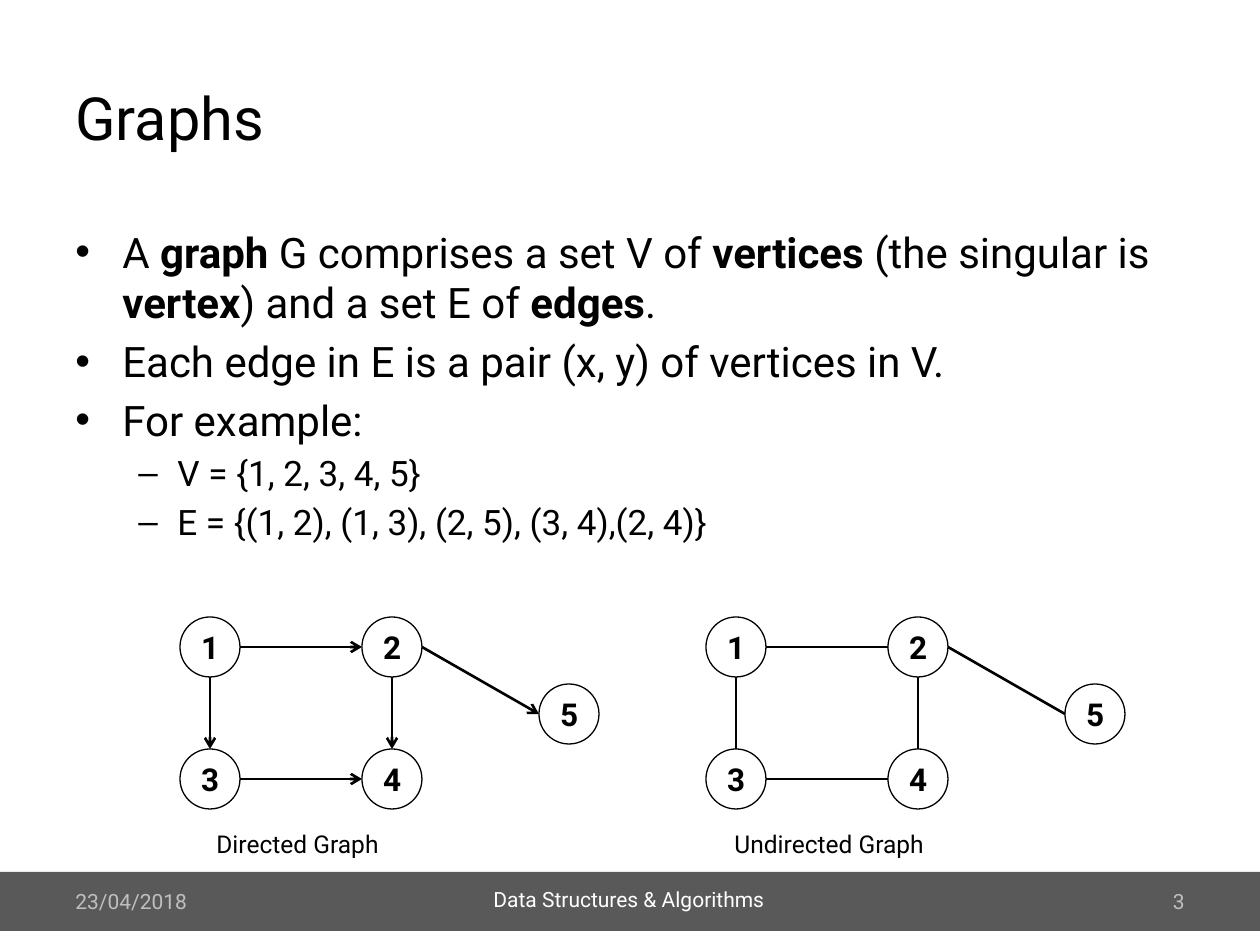
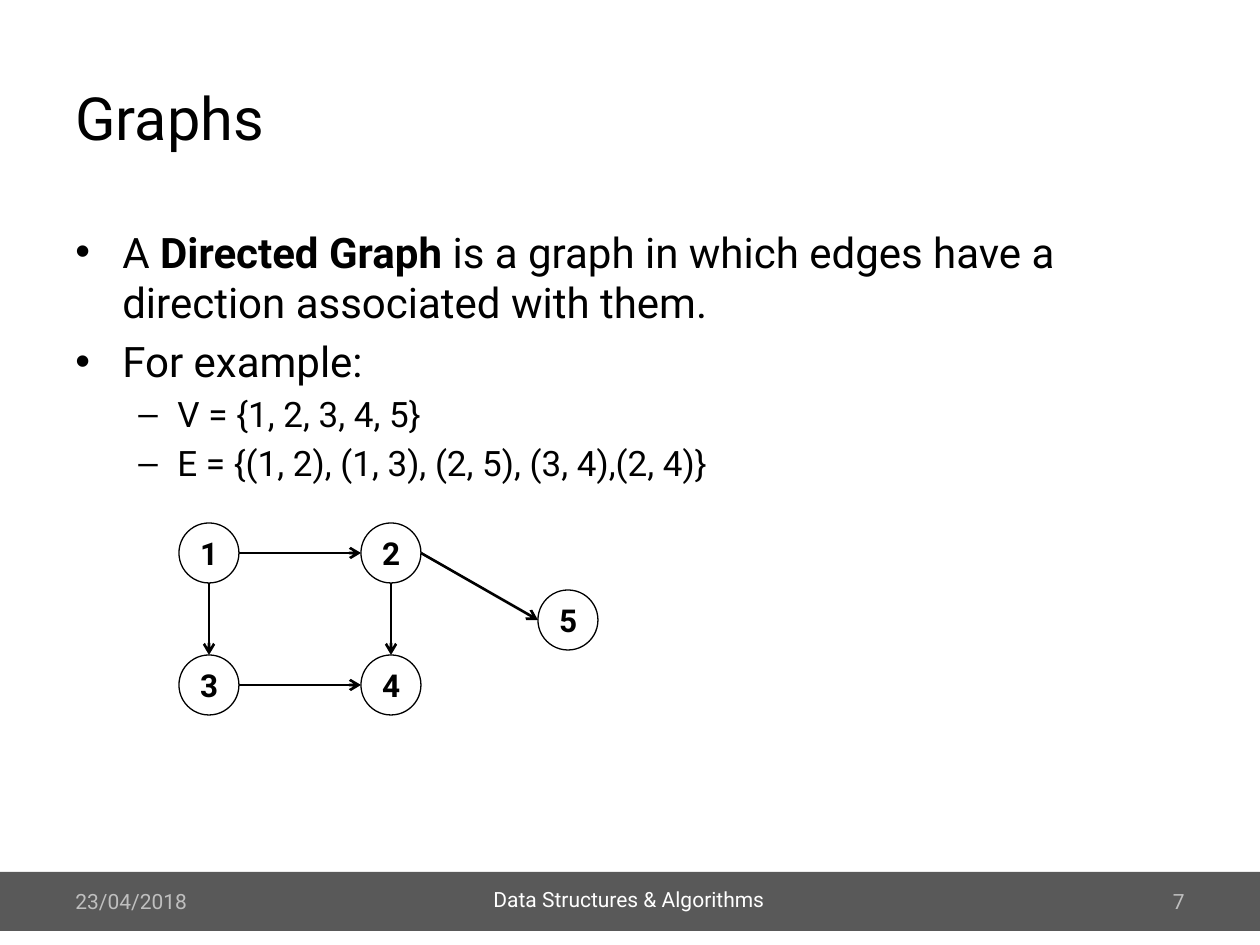
from lxml.etree import SubElement
from pptx import Presentation
from pptx.dml.color import RGBColor
from pptx.enum.shapes import MSO_CONNECTOR, MSO_SHAPE
from pptx.enum.text import MSO_ANCHOR, PP_ALIGN
from pptx.oxml.ns import qn
from pptx.util import Emu, Pt

EMU_PER_PX = 914400 / 126
FONT = "Roboto"
BLACK, WHITE, BAND, MUTED = "000000", "FFFFFF", "595959", "BFBFBF"

NODE = 60
VERTICES = {1: (0, 0), 2: (182, 0), 3: (0, 132), 4: (182, 132), 5: (359, 67)}
EDGES = [(1, 2), (1, 3), (2, 5), (3, 4), (2, 4)]

# Per level: bullet, text size, left margin, hanging indent
LEVELS = [("•", 24, 47, 47), ("–", 20, 102, 39)]
EXAMPLE = [
    (0, "For example:"),
    (1, "V = {1, 2, 3, 4, 5}"),
    (1, "E = {(1, 2), (1, 3), (2, 5), (3, 4),(2, 4)}"),
]


def px(n):
    return Emu(round(n * EMU_PER_PX))


def rgb(color):
    return RGBColor.from_string(color)


def set_font(p, size, color=BLACK, bold=False):
    p.font.name = FONT
    p.font.size = Pt(size)
    p.font.color.rgb = rgb(color)
    p.font.bold = bold


def add_text(s, text, box, size, color=BLACK, align=PP_ALIGN.LEFT,
             anchor=MSO_ANCHOR.MIDDLE, wrap=True):
    tf = s.shapes.add_textbox(*map(px, box)).text_frame
    tf.word_wrap = wrap
    tf.vertical_anchor = anchor
    p = tf.paragraphs[0]
    p.text = text
    p.alignment = align
    set_font(p, size, color)
    return tf


def add_bullet(p, level, text):
    """Fill a bulleted paragraph; parts between asterisks are bold."""
    bullet, size, margin, hang = LEVELS[level]
    p.level = level
    p.space_before = Pt(size * 0.2)
    set_font(p, size)
    for i, part in enumerate(text.split("*")):
        if part:
            r = p.add_run()
            r.text = part
            if i % 2:
                r.font.bold = True
    pPr = p._p.get_or_add_pPr()
    pPr.set("marL", str(px(margin)))
    pPr.set("indent", str(-px(hang)))
    bu_font = pPr.makeelement(qn("a:buFont"), {"typeface": "Arial"})
    bu_char = pPr.makeelement(qn("a:buChar"), {"char": bullet})
    def_rpr = pPr.find(qn("a:defRPr"))
    def_rpr.addprevious(bu_font)
    def_rpr.addprevious(bu_char)


def add_body(s, items):
    tf = s.shapes.add_textbox(*map(px, (63, 220, 1134, 624))).text_frame
    tf.word_wrap = True
    for i, (level, text) in enumerate(items):
        p = tf.add_paragraph() if i else tf.paragraphs[0]
        add_bullet(p, level, text)


def add_vertex(shapes, label, x, y):
    sp = shapes.add_shape(MSO_SHAPE.OVAL, px(x), px(y), px(NODE), px(NODE))
    sp.shadow.inherit = False
    sp.fill.background()
    sp.line.color.rgb = rgb(BLACK)
    sp.line.width = Pt(0.75)
    tf = sp.text_frame
    tf.vertical_anchor = MSO_ANCHOR.MIDDLE
    p = tf.paragraphs[0]
    p.text = str(label)
    p.alignment = PP_ALIGN.CENTER
    set_font(p, 18, bold=True)


def add_edge(shapes, start, end, directed):
    """Join two vertices, from right to left side or from bottom to top."""
    (x1, y1), (x2, y2) = start, end
    half = NODE // 2
    if x1 == x2:
        ends = x1 + half, y1 + NODE, x2 + half, y2
    else:
        ends = x1 + NODE, y1 + half, x2, y2 + half
    line = shapes.add_connector(MSO_CONNECTOR.STRAIGHT, *map(px, ends))
    line.line.color.rgb = rgb(BLACK)
    line.line.width = Pt(1.5)
    if directed:
        SubElement(line.line._get_or_add_ln(), qn("a:tailEnd"), type="arrow")
    SubElement(line._element.spPr, qn("a:effectLst"))


def add_graph(shapes, left, top, directed=True):
    places = {v: (left + x, top + y) for v, (x, y) in VERTICES.items()}
    for label, (x, y) in places.items():
        add_vertex(shapes, label, x, y)
    for a, b in EDGES:
        add_edge(shapes, places[a], places[b], directed)


def add_caption(s, text, left, width):
    add_text(s, text, (left, 823, width, 43), 14,
             anchor=MSO_ANCHOR.TOP, wrap=False)


def add_footer(s, number):
    band = s.shapes.add_shape(MSO_SHAPE.RECTANGLE,
                              *map(px, (0, 872, 1260, 59)))
    band.shadow.inherit = False
    band.fill.solid()
    band.fill.fore_color.rgb = rgb(BAND)
    band.line.fill.background()
    course = add_text(s, "Data Structures & Algorithms", (462, 876, 334, 50),
                      12, WHITE, PP_ALIGN.CENTER, MSO_ANCHOR.TOP)
    course.margin_top = px(11)
    course.paragraphs[0].space_before = Pt(2.4)
    add_text(s, "23/04/2018", (63, 876, 294, 50), 12, MUTED)
    add_text(s, str(number), (903, 876, 294, 50), 12, MUTED, PP_ALIGN.RIGHT)


def add_slide(prs, number, items):
    s = prs.slides.add_slide(prs.slide_layouts[6])
    add_footer(s, number)
    add_text(s, "Graphs", (63, 38, 1134, 157), 34)
    add_body(s, items)
    return s


def main():
    prs = Presentation()
    prs.slide_width, prs.slide_height = px(1260), px(945)

    s = add_slide(prs, 3, [
        (0, "A *graph *G comprises a set V of *vertices* (the singular is "
            "*vertex*) and a set E of *edges*."),
        (0, "Each edge in E is a pair (x, y) of vertices in V."),
        *EXAMPLE,
    ])
    add_graph(s.shapes, 180, 617)
    add_graph(s.shapes, 706, 617, directed=False)
    add_caption(s, "Directed Graph", 204, 193)
    add_caption(s, "Undirected Graph", 722, 223)

    s = add_slide(prs, 7, [
        (0, "A *Directed Graph *is a graph in which edges have a direction "
            "associated with them."),
        *EXAMPLE,
    ])
    add_graph(s.shapes.add_group_shape().shapes, 179, 523)

    prs.save("out.pptx")


if __name__ == "__main__":
    main()
